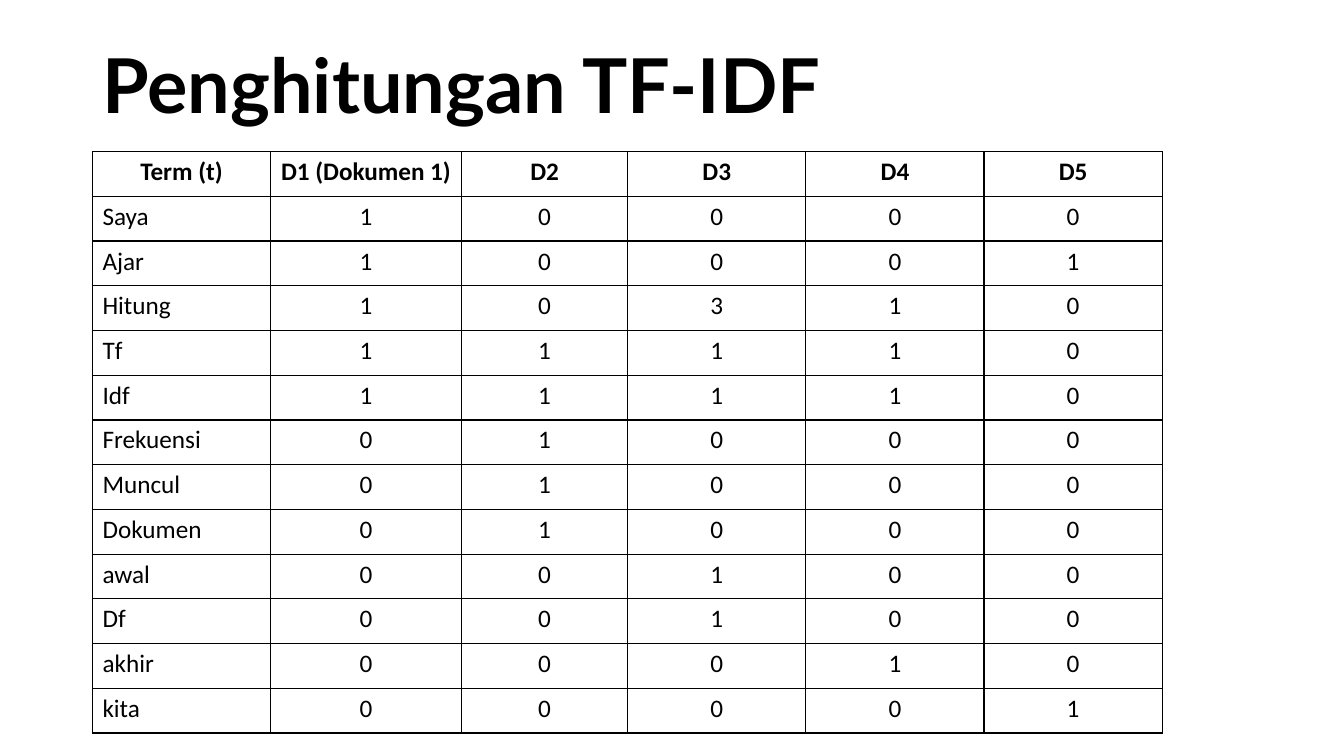
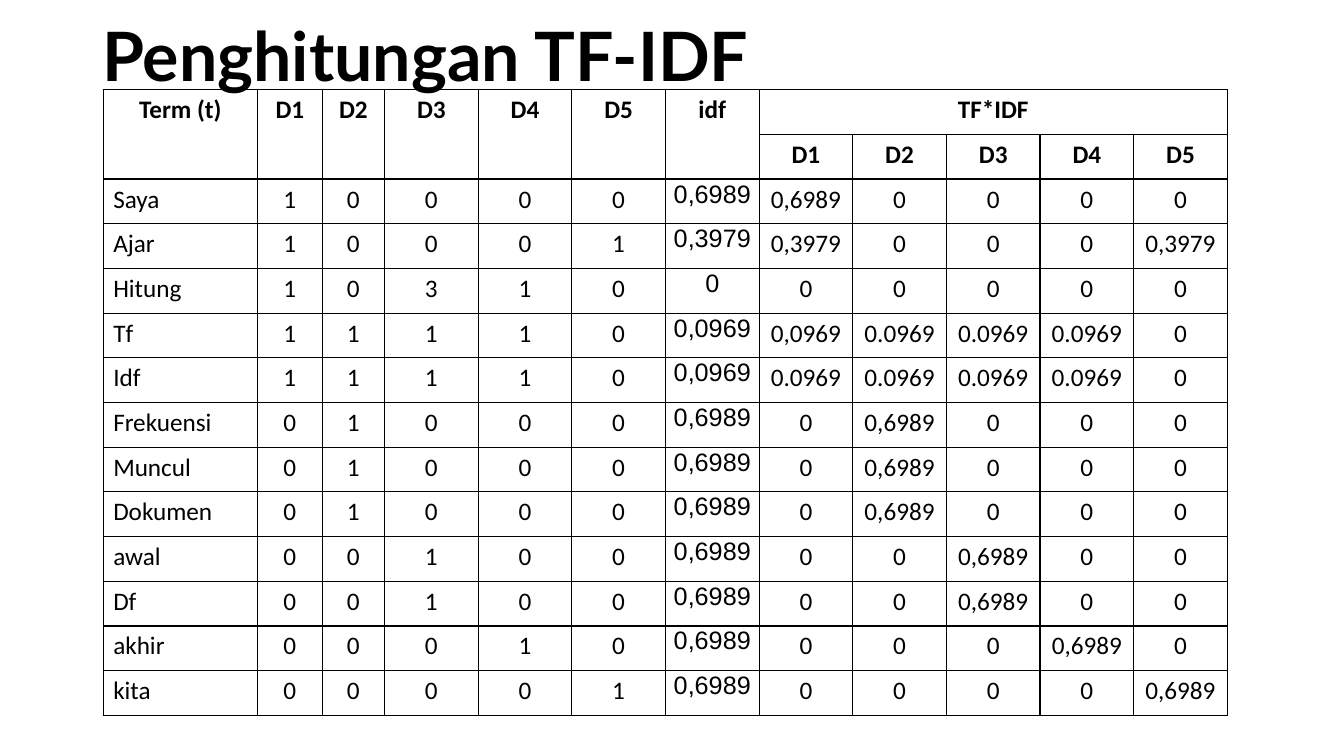
from lxml import etree
from pptx import Presentation
from pptx.dml.color import RGBColor
from pptx.enum.text import MSO_ANCHOR, MSO_AUTO_SIZE, PP_ALIGN
from pptx.oxml.ns import qn
from pptx.util import Cm, Pt

# Content
TITLE = "Penghitungan TF-IDF"
DOCUMENTS = ["D1", "D2", "D3", "D4", "D5"]
# term, occurrences in D1-D5, idf, TF*IDF in D1-D5
TERMS = [
    ("Saya", "1 0 0 0 0", "0,6989", "0,6989 0 0 0 0"),
    ("Ajar", "1 0 0 0 1", "0,3979", "0,3979 0 0 0 0,3979"),
    ("Hitung", "1 0 3 1 0", "0", "0 0 0 0 0"),
    ("Tf", "1 1 1 1 0", "0,0969", "0,0969 0.0969 0.0969 0.0969 0"),
    ("Idf", "1 1 1 1 0", "0,0969", "0.0969 0.0969 0.0969 0.0969 0"),
    ("Frekuensi", "0 1 0 0 0", "0,6989", "0 0,6989 0 0 0"),
    ("Muncul", "0 1 0 0 0", "0,6989", "0 0,6989 0 0 0"),
    ("Dokumen", "0 1 0 0 0", "0,6989", "0 0,6989 0 0 0"),
    ("awal", "0 0 1 0 0", "0,6989", "0 0 0,6989 0 0"),
    ("Df", "0 0 1 0 0", "0,6989", "0 0 0,6989 0 0"),
    ("akhir", "0 0 0 1 0", "0,6989", "0 0 0 0,6989 0"),
    ("kita", "0 0 0 0 1", "0,6989", "0 0 0 0 0,6989"),
]
FREQUENCY_HEADER = [["Term (t)", "D1 (Dokumen 1)"] + DOCUMENTS[1:]]
WEIGHT_HEADER = [
    ["Term (t)"] + DOCUMENTS + ["idf", "TF*IDF"] + [""] * 4,
    [""] * 7 + DOCUMENTS,
]
IDF_COLUMN = 6

# Shared style
COLORS = {"ink": "000000"}
FONTS = {"title": "Lato", "body": "Calibri", "idf": "Arial"}
FREQUENCY_WIDTHS = [4.49, 4.81, 4.19] + [4.49] * 3
WEIGHT_WIDTHS = [3.89, 1.63, 1.57] + [2.36] * 9


def write(frame, text, size=18, font=FONTS["body"], bold=False,
          align=PP_ALIGN.CENTER, spacing=None):
    paragraph = frame.paragraphs[0]
    paragraph.alignment = align
    paragraph.line_spacing = spacing
    run = paragraph.add_run()
    run.text = text
    run.font.size = Pt(size)
    run.font.name = font
    run.font.bold = bold
    run.font.color.rgb = RGBColor.from_string(COLORS["ink"])


def add_title(slide, height, size):
    box = slide.shapes.add_textbox(Cm(2.33), Cm(1.02), Cm(29.21), Cm(height))
    frame = box.text_frame
    frame.word_wrap = True
    frame.auto_size = MSO_AUTO_SIZE.NONE
    frame.vertical_anchor = MSO_ANCHOR.MIDDLE
    write(frame, TITLE, size=size, font=FONTS["title"], bold=True,
          align=PP_ALIGN.LEFT, spacing=0.9)


def outline(cell):
    """Draw a thin border on all four sides of a cell without fill."""
    properties = cell._tc.get_or_add_tcPr()
    for side in ("a:lnL", "a:lnR", "a:lnT", "a:lnB"):
        line = etree.SubElement(properties, qn(side), w=str(Pt(1)))
        fill = etree.SubElement(line, qn("a:solidFill"))
        etree.SubElement(fill, qn("a:srgbClr"), val=COLORS["ink"])
    cell.fill.background()


def add_grid(slide, left, top, height, widths, header, body, merges=()):
    rows = header + body
    table = slide.shapes.add_table(
        len(rows), len(widths), Cm(left), Cm(top),
        Cm(sum(widths)), Cm(height)).table
    table.first_row = table.horz_banding = False
    for column, width in zip(table.columns, widths):
        column.width = Cm(width)

    for first, last in merges:
        table.cell(*first).merge(table.cell(*last))

    for r, row in enumerate(rows):
        is_header = r < len(header)
        for c, text in enumerate(row):
            cell = table.cell(r, c)
            outline(cell)
            if cell.is_spanned:
                continue
            is_idf = c == IDF_COLUMN and not is_header
            if is_idf:
                cell.margin_left = cell.margin_right = cell.margin_top = Cm(0.03)
                cell.margin_bottom = 0
            is_term = c == 0 and not is_header
            write(cell.text_frame, text, bold=is_header,
                  font=FONTS["idf" if is_idf else "body"],
                  align=PP_ALIGN.LEFT if is_term else PP_ALIGN.CENTER)


def main():
    deck = Presentation()
    deck.slide_width, deck.slide_height = Cm(33.87), Cm(19.05)
    blank = deck.slide_layouts[6]

    # Term frequencies
    frequency_slide = deck.slides.add_slide(blank)
    add_title(frequency_slide, height=2.46, size=54)
    add_grid(frequency_slide, 2.33, 3.82, 14.66, FREQUENCY_WIDTHS,
             FREQUENCY_HEADER,
             [[term] + counts.split() for term, counts, _, _ in TERMS])

    # TF*IDF weights
    weight_slide = deck.slides.add_slide(blank)
    add_title(weight_slide, height=0.97, size=48.6)
    tall_headings = [((0, c), (1, c)) for c in range(IDF_COLUMN + 1)]
    wide_heading = ((0, IDF_COLUMN + 1), (0, len(WEIGHT_WIDTHS) - 1))
    add_grid(weight_slide, 2.6, 2.26, 15.77, WEIGHT_WIDTHS, WEIGHT_HEADER,
             [[term] + counts.split() + [idf] + weights.split()
              for term, counts, idf, weights in TERMS],
             merges=tall_headings + [wide_heading])

    deck.save("out.pptx")


if __name__ == "__main__":
    main()
